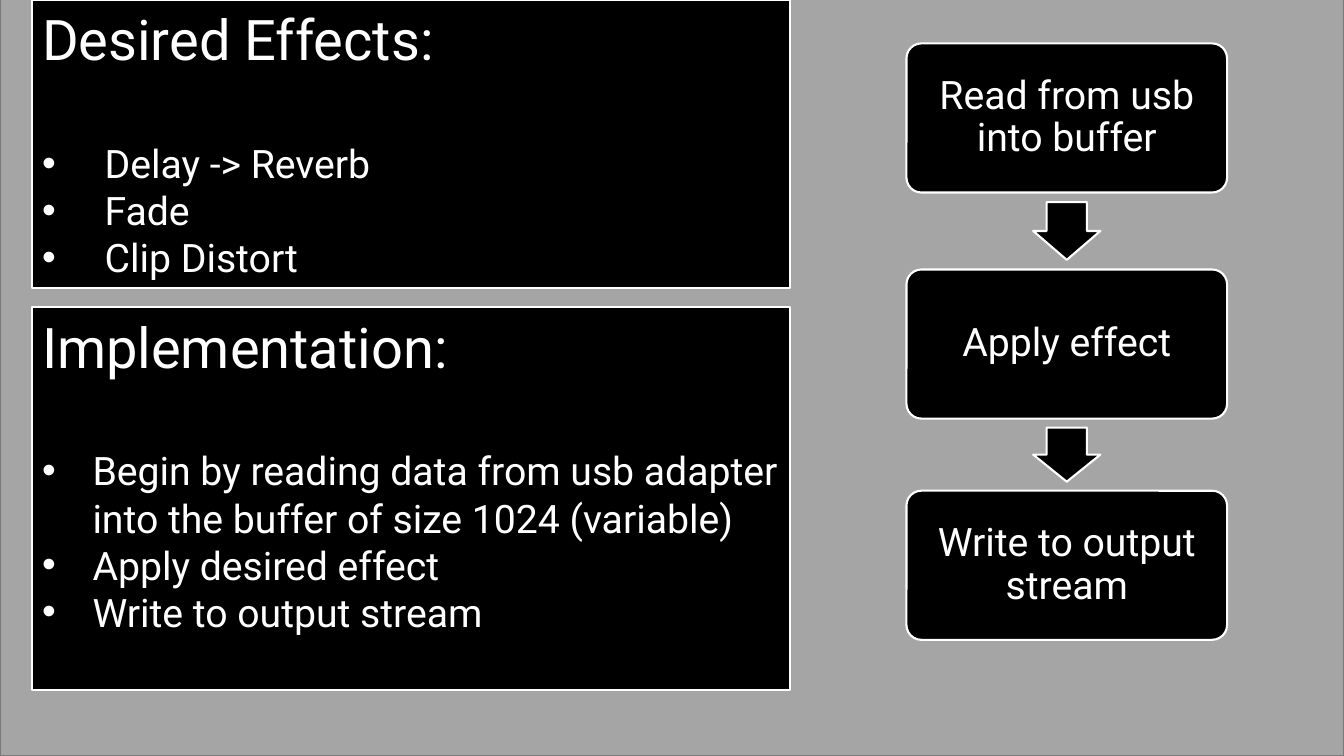
from dataclasses import dataclass

from lxml.etree import SubElement
from pptx import Presentation
from pptx.dml.color import RGBColor as RGB
from pptx.enum.shapes import MSO_SHAPE as SHAPE
from pptx.enum.text import MSO_ANCHOR as ANCHOR, PP_ALIGN as ALIGN
from pptx.oxml.ns import qn
from pptx.util import Pt


@dataclass(frozen=True)
class Theme:
    font: str = "Roboto"
    backdrop: RGB = RGB(0xA5, 0xA5, 0xA5)
    backdrop_edge: RGB = RGB(0x7A, 0x7A, 0x7A)
    panel: RGB = RGB(0, 0, 0)
    ink: RGB = RGB(0xFF, 0xFF, 0xFF)
    heading: int = 40
    body: int = 28


THEME = Theme()
PANEL_LEFT, PANEL_WIDTH = 23, 541.5
STEP_LEFT, STEP_WIDTH, STEP_HEIGHT = 647.5, 229, 106.5
ARROW_WIDTH, ARROW_SHARE = 48, 0.75

PANELS = [
    (0, 206, 44.64, "Desired Effects:",
     ["Delay -> Reverb", "Fade", "Clip Distort"]),
    (219.6, 273.6, 36, "Implementation:",
     ["Begin by reading data from usb adapter into the buffer of size 1024 (variable)",
      "Apply desired effect", "Write to output stream"]),
]
STEPS = [
    (31, "Read from usb into buffer"),
    (192.5, "Apply effect"),
    (350.5, "Write to output stream"),
]


def apply(target, values):
    for name, value in values.items():
        setattr(target, name, value)


def add_block(s, kind, box, fill=THEME.panel, line=THEME.ink, weight=1.5):
    sp = s.shapes.add_shape(kind, *map(Pt, box))
    sp.shadow.inherit = False
    sp.fill.solid()
    sp.fill.fore_color.rgb = fill
    sp.line.color.rgb = line
    sp.line.width = Pt(weight)
    return sp


def write(p, text, size, **layout):
    apply(p, layout)
    r = p.add_run()
    r.text = text
    apply(r.font, {"name": THEME.font, "size": Pt(size)})
    r.font.color.rgb = THEME.ink


def add_bullet(p, indent):
    pPr = p._p.get_or_add_pPr()
    pPr.set("marL", str(Pt(indent)))
    pPr.set("indent", str(-Pt(indent)))
    SubElement(pPr, qn("a:buFont"), typeface="Arial")
    SubElement(pPr, qn("a:buChar"), char="•")


def add_panel(s, top, height, indent, heading, items):
    sp = add_block(s, SHAPE.RECTANGLE, (PANEL_LEFT, top, PANEL_WIDTH, height))
    tf = sp.text_frame
    apply(tf, {"word_wrap": True, "vertical_anchor": ANCHOR.TOP})
    write(tf.paragraphs[0], heading, THEME.heading, alignment=ALIGN.LEFT)
    for i, item in enumerate(items):
        p = tf.add_paragraph()
        add_bullet(p, indent)
        write(p, item, THEME.body, alignment=ALIGN.LEFT,
              space_before=Pt(0 if i else 48))


def add_step(s, top, text):
    sp = add_block(s, SHAPE.ROUNDED_RECTANGLE,
                   (STEP_LEFT, top, STEP_WIDTH, STEP_HEIGHT))
    sp.adjustments[0] = 0.1
    tf = sp.text_frame
    apply(tf, {"word_wrap": True, "vertical_anchor": ANCHOR.MIDDLE})
    apply(tf, {f"margin_{side}": Pt(8.4)
               for side in ("left", "top", "right", "bottom")})
    write(tf.paragraphs[0], text, THEME.body,
          alignment=ALIGN.CENTER, line_spacing=0.9)


def add_arrow(s, upper, lower):
    gap = lower - upper - STEP_HEIGHT
    height = gap * ARROW_SHARE
    left = STEP_LEFT + (STEP_WIDTH - ARROW_WIDTH) / 2
    top = upper + STEP_HEIGHT + (gap - height) / 2
    sp = add_block(s, SHAPE.DOWN_ARROW, (left, top, ARROW_WIDTH, height))
    sp.adjustments[0] = 0.6
    sp.adjustments[1] = 0.5


def main():
    prs = Presentation()
    apply(prs, {"slide_width": Pt(960), "slide_height": Pt(540)})
    s = prs.slides.add_slide(prs.slide_layouts[6])
    add_block(s, SHAPE.RECTANGLE, (0, -13.5, 960, 553.5),
              THEME.backdrop, THEME.backdrop_edge, 1)
    for panel in PANELS:
        add_panel(s, *panel)
    for step in STEPS:
        add_step(s, *step)
    for (upper, _), (lower, _) in zip(STEPS, STEPS[1:]):
        add_arrow(s, upper, lower)
    prs.save("out.pptx")


if __name__ == "__main__":
    main()
